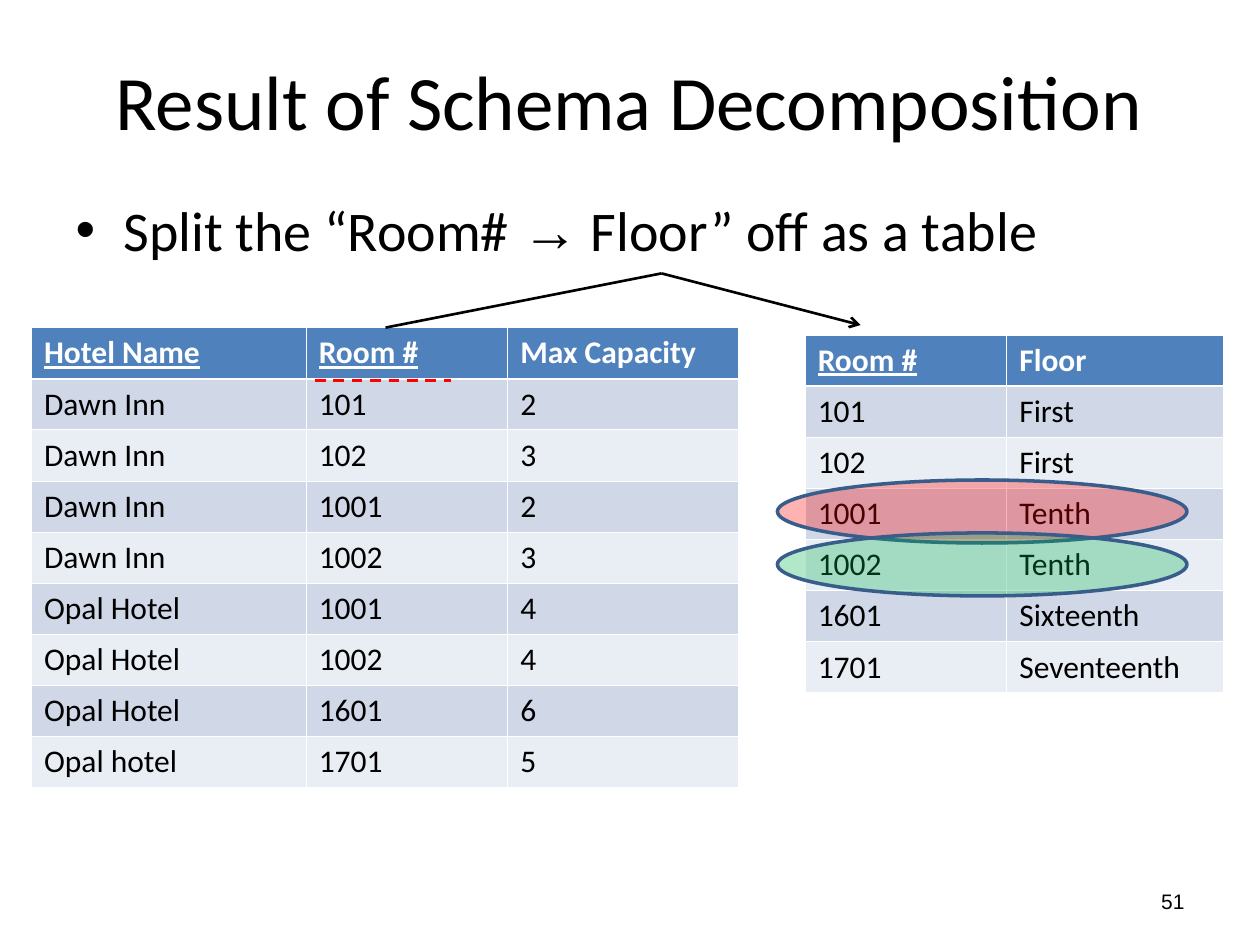
from lxml.etree import SubElement
from pptx import Presentation
from pptx.dml.color import RGBColor
from pptx.enum.dml import MSO_LINE
from pptx.enum.shapes import MSO_CONNECTOR, MSO_SHAPE
from pptx.enum.text import MSO_ANCHOR, PP_ALIGN
from pptx.oxml.ns import qn
from pptx.util import Inches, Pt

# Content
TITLE = "Result of Schema Decomposition"
BULLET_RUNS = [("Split the “Room# ", "Calibri"), ("→", "Arial"),
               (" Floor” off as a table", "Calibri")]
PAGE_NUMBER = "51"
TABLES = [
    {"place": (0.25, 2.6, 5.61, 3.65), "columns": (2.18, 1.6, 1.83),
     "keys": ("Hotel Name", "Room #"),
     "rows": [("Hotel Name", "Room #", "Max Capacity"),
              ("Dawn Inn", "101", "2"), ("Dawn Inn", "102", "3"),
              ("Dawn Inn", "1001", "2"), ("Dawn Inn", "1002", "3"),
              ("Opal Hotel", "1001", "4"), ("Opal Hotel", "1002", "4"),
              ("Opal Hotel", "1601", "6"), ("Opal hotel", "1701", "5")]},
    {"place": (6.39, 2.66, 3.32, 2.84), "columns": (1.6, 1.72),
     "keys": ("Room #",),
     "rows": [("Room #", "Floor"), ("101", "First"), ("102", "First"),
              ("1001", "Tenth"), ("1002", "Tenth"),
              ("1601", "Sixteenth"), ("1701", "Seventeenth")]},
]
HIGHLIGHTS = [(3.81, "FF0000"), (4.23, "00B050")]  # top, colour
SPLIT_POINT = (5.25, 2.17)
BLACK, WHITE, RED = "000000", "FFFFFF", "FF0000"
HEADER_FILL, BAND_FILLS = "4F81BD", ("E9EDF4", "D0D8E8")


def rgb(value):
    return RGBColor.from_string(value)


def place(shape, *box):
    shape.left, shape.top, shape.width, shape.height = map(Inches, box)


def add_run(paragraph, text, size, font="Calibri", color=BLACK):
    run = paragraph.add_run()
    run.text = text
    run.font.size = Pt(size)
    run.font.name = font
    run.font.color.rgb = rgb(color)
    return run


def set_border(cell, side, width):
    line = SubElement(cell._tc.get_or_add_tcPr(), qn(f"a:ln{side}"), w=str(Pt(width)))
    fill = SubElement(line, qn("a:solidFill"))
    SubElement(fill, qn("a:srgbClr"), val=WHITE)


def fill_cell(cell, text, row, is_key):
    header = row == 0
    # The rule between header and body is thicker
    widths = {"L": 0.45, "R": 0.45, "T": 1.47 if row == 1 else 0.45,
              "B": 1.47 if header else 0.45}
    for side, width in widths.items():
        set_border(cell, side, width)
    cell.fill.solid()
    cell.fill.fore_color.rgb = rgb(HEADER_FILL if header else BAND_FILLS[row % 2])
    run = add_run(cell.text_frame.paragraphs[0], text, 18,
                  color=WHITE if header else BLACK)
    run.font.bold = header
    run.font.underline = header and is_key


def add_data_table(slide, data):
    rows, columns = data["rows"], data["columns"]
    table = slide.shapes.add_table(len(rows), len(columns),
                                   *map(Inches, data["place"])).table
    for column, width in zip(table.columns, columns):
        column.width = Inches(width)
    for row, values in enumerate(rows):
        table.rows[row].height = Inches(data["place"][3] / len(rows))
        for column, text in enumerate(values):
            fill_cell(table.cell(row, column), text, row, text in data["keys"])


def add_line(slide, start, end, color=BLACK):
    connector = slide.shapes.add_connector(MSO_CONNECTOR.STRAIGHT,
                                           *map(Inches, start + end))
    connector.line.color.rgb = rgb(color)
    connector.line.width = Pt(1.5)
    SubElement(connector._element.spPr, qn("a:effectLst"))
    return connector


presentation = Presentation()
presentation.slide_width, presentation.slide_height = Inches(10), Inches(7.5)
slide = presentation.slides.add_slide(presentation.slide_layouts[1])

# Title
title = slide.shapes.title
place(title, 0.33, 0.17, 9.33, 1.25)
title.text_frame.vertical_anchor = MSO_ANCHOR.MIDDLE
paragraph = title.text_frame.paragraphs[0]
paragraph.alignment = PP_ALIGN.CENTER
add_run(paragraph, TITLE, 44)

# Bullet
body = slide.placeholders[1]
place(body, 0.5, 1.5, 9, 4.95)
paragraph = body.text_frame.paragraphs[0]
paragraph.space_before = Pt(0)
properties = paragraph._p.get_or_add_pPr()
properties.set("marL", str(Inches(0.38)))
properties.set("indent", str(Inches(-0.38)))
SubElement(properties, qn("a:buChar"), char="•")
for text, font in BULLET_RUNS:
    add_run(paragraph, text, 32, font)

# Page number
number = slide.shapes.add_textbox(*map(Inches, (7.17, 6.95, 2.33, 0.4)))
number.text_frame.word_wrap = True
number.text_frame.vertical_anchor = MSO_ANCHOR.MIDDLE
paragraph = number.text_frame.paragraphs[0]
paragraph.alignment = PP_ALIGN.RIGHT
add_run(paragraph, PAGE_NUMBER, 12, "Arial")

# Tables
for data in TABLES:
    add_data_table(slide, data)

# Translucent ellipses over the two tenth-floor rows
for top, color in HIGHLIGHTS:
    ellipse = slide.shapes.add_shape(MSO_SHAPE.OVAL,
                                     *map(Inches, (6.17, top, 3.25, 0.5)))
    ellipse.shadow.inherit = False
    ellipse.fill.solid()
    ellipse.fill.fore_color.rgb = rgb(color)
    fill_color = ellipse._element.spPr.find(".//" + qn("a:srgbClr"))
    SubElement(fill_color, qn("a:alpha"), val="30000")
    ellipse.line.color.rgb = rgb("385D8A")
    ellipse.line.width = Pt(2)

# Dashed key mark and the split lines
key_mark = add_line(slide, (2.5, 3.02), (3.58, 3.02), RED)
key_mark.line.dash_style = MSO_LINE.DASH
add_line(slide, (3.06, 2.6), SPLIT_POINT)
arrow = add_line(slide, SPLIT_POINT, (6.83, 2.58))
SubElement(arrow.line._get_or_add_ln(), qn("a:tailEnd"), type="arrow")

presentation.save("out.pptx")
